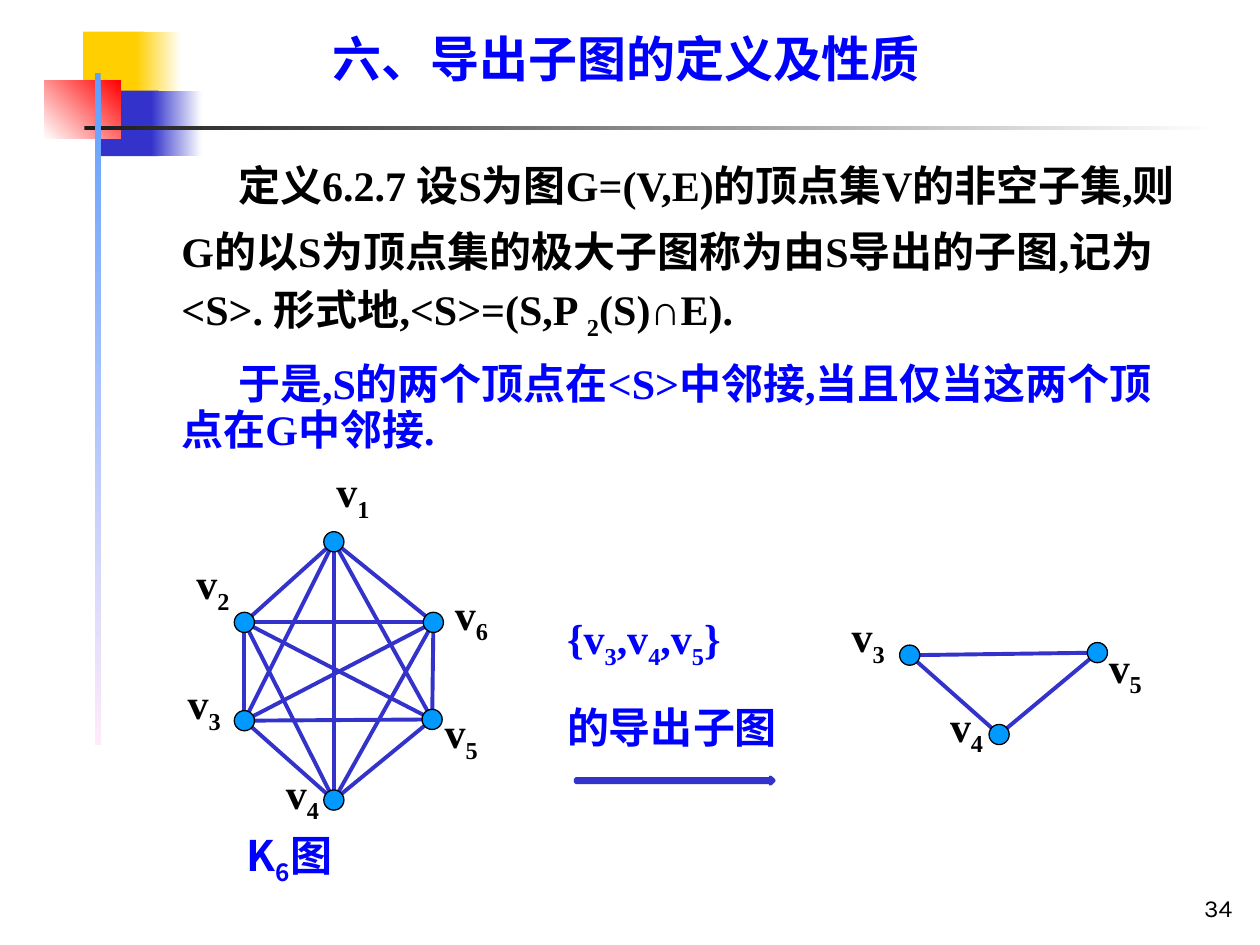
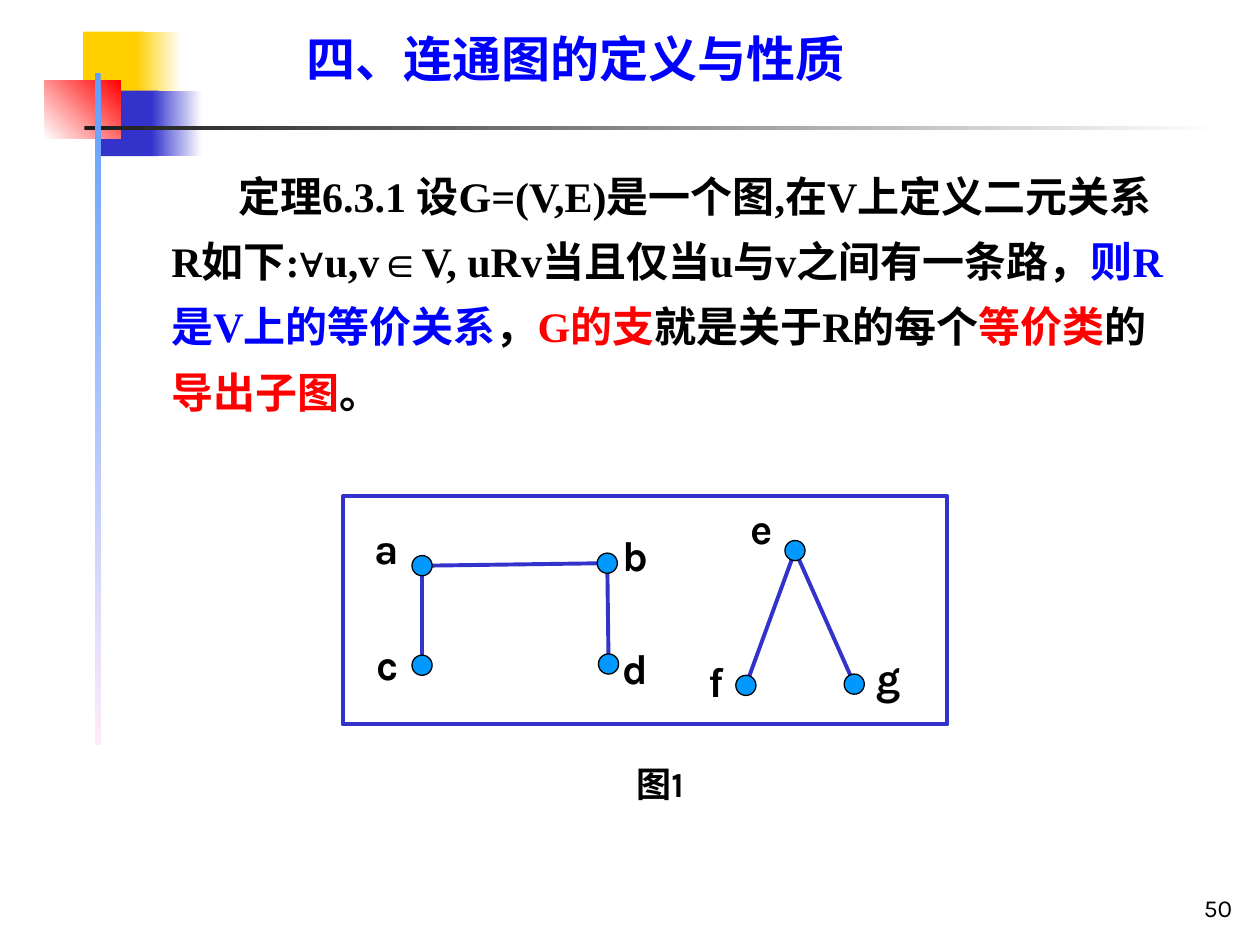
from itertools import combinations

from lxml import etree
from pptx import Presentation
from pptx.dml.color import RGBColor
from pptx.enum.shapes import MSO_CONNECTOR, MSO_SHAPE
from pptx.enum.text import MSO_ANCHOR, MSO_AUTO_SIZE, PP_ALIGN
from pptx.oxml.ns import qn
from pptx.util import Pt

# Scale: 100 px to the inch
PX = 9144

BLACK = RGBColor(0x00, 0x00, 0x00)
WHITE = RGBColor(0xFF, 0xFF, 0xFF)
BLUE = RGBColor(0x00, 0x00, 0xFF)
RED = RGBColor(0xFF, 0x00, 0x00)
INDIGO = RGBColor(0x33, 0x33, 0xCC)
YELLOW = RGBColor(0xFF, 0xCF, 0x01)
CHARCOAL = RGBColor(0x1C, 0x1C, 0x1C)
SKY = RGBColor(0x5E, 0x9E, 0xFF)
PINK = RGBColor(0xFF, 0xEB, 0xFA)
DOT_BLUE = RGBColor(0x00, 0x99, 0xFF)
MINT = RGBColor(0x00, 0xE4, 0xA8)

SERIF, SANS, SYMBOL, CJK = "Times New Roman", "Karla", "Arial", "Noto Sans CJK SC"
RECT, OVAL, ARROW = MSO_SHAPE.RECTANGLE, MSO_SHAPE.OVAL, MSO_SHAPE.RIGHT_ARROW
STRAIGHT = MSO_CONNECTOR.STRAIGHT
LEFT, RIGHT = PP_ALIGN.LEFT, PP_ALIGN.RIGHT
TOP, BOTTOM = MSO_ANCHOR.TOP, MSO_ANCHOR.BOTTOM
NO_FIT = MSO_AUTO_SIZE.NONE

DOT = 16
LINE_WIDTH = 2.25
HANG = 38
NUMBER_BOX = (790, 692, 188, 40)

# Corner ornament and rules: box, first colour, last colour, angle
ORNAMENT = [
    ((66, 25, 48, 52), YELLOW, YELLOW, 0),
    ((108, 25, 36, 52), YELLOW, WHITE, 0),
    ((80, 72, 46, 52), INDIGO, INDIGO, 0),
    ((120, 72, 40, 52), INDIGO, WHITE, 0),
    ((35, 64, 61, 46), WHITE, RED, 45),
    ((67, 100, 900, 3), CHARCOAL, WHITE, 0),
    ((75, 58, 5, 533), SKY, PINK, 270),
]


def sub(text):
    return text, {"lowered": True}


def tinted(text, color):
    return text, {"color": color}


def symbol(text):
    return text, {"font": SYMBOL}


# Content: a paragraph is a list of plain strings and (text, format) pairs
INDUCED = {
    "number": "34",
    "title": ("六、导出子图的定义及性质", (264, 28, 496, 42)),
    "body": [
        ((106, 115, 835, 163), [[
            "定义6.2.7 设S为图G=(V,E)的顶点集V的非空子集,则G的以S为顶点集的极大子图"
            "称为由S导出的子图,记为<S>. 形式地,<S>=(S,P ", sub("2"), "(S)∩E)."]],
         {"line": 37.4, "hang": HANG, "first": 45}),
        ((106, 288, 819, 72), [[
            "于是,S的两个顶点在<S>中邻接,当且仅当这两个顶点在G中邻接."]],
         {"line": 26, "hang": HANG, "first": 45, "color": BLUE}),
    ],
    "notes": [
        ((196, 662, 150, 41), [["K", sub("6"), "图"]],
         {"font": CJK, "color": BLUE, "line": 30}),
        ((450, 480, 192, 119),
         [["{v", sub("3"), ",v", sub("4"), ",v", sub("5"), "}"], ["的导出子图"]],
         {"color": BLUE, "line": 37.4, "before": 9}),
    ],
}
CONNECTED = {
    "number": "50",
    "title": ("四、连通图的定义与性质", (243, 28, 502, 42)),
    "body": [
        ((98, 123, 835, 208), [[
            "定理6.3.1 设G=(V,E)是一个图,在V上定义二元关系R如下:", symbol("∀"),
            "u,v", symbol("∈"), "V, uRv当且仅当u与v之间有一条路，",
            tinted("则R是V上的等价关系", BLUE), "，", tinted("G的支", RED),
            "就是关于R的每个", tinted("等价类", RED), "的",
            tinted("导出子图", RED), "。"]],
         {"line": 37.4, "hang": HANG, "first": 53}),
    ],
    "notes": [((505, 604, 70, 34), [["图1"]],
               {"font": SANS, "size": 20, "line": 25})],
}

# Graphs: vertex name -> (centre, label corner)
K6 = {
    "v1": ((265, 430), (267, 375)),
    "v2": ((194, 494), (156, 448)),
    "v3": ((194, 572), (149, 543)),
    "v4": ((265, 635), (227, 614)),
    "v5": ((343, 571), (353, 566)),
    "v6": ((344, 494), (361, 472)),
}
K3 = {
    "v3": ((722, 520), (676, 490)),
    "v4": ((793, 583), (754, 561)),
    "v5": ((871, 518), (880, 514)),
}
TWO_PARTS = {
    "a": ((335, 449), (297, 415)),
    "b": ((482, 447), (494, 420)),
    "c": ((335, 528), (299, 507)),
    "d": ((483, 527), (494, 510)),
    "e": ((631, 437), (596, 399)),
    "f": ((592, 544), (562, 520)),
    "g": ((678, 543), (696, 517)),
}
TWO_PARTS_EDGES = ["ab", "ac", "bd", "ef", "eg"]
FRAME_BOX = (272, 394, 480, 181)
ARROW_BOX = (457, 617, 157, 5)


def emu(lengths):
    return [length * PX for length in lengths]


def write(holder, paragraphs, *, size=24, font=SERIF, color=BLACK, bold=True,
          line=None, before=0, hang=0, first=0, align=LEFT, anchor=TOP):
    """Fill a text box or placeholder; line is an exact height in points."""
    frame = holder.text_frame
    frame.word_wrap, frame.auto_size, frame.vertical_anchor = True, NO_FIT, anchor
    frame.margin_left = frame.margin_right = 0
    frame.margin_top = frame.margin_bottom = 0
    for index, pieces in enumerate(paragraphs):
        paragraph = frame.add_paragraph() if index else frame.paragraphs[0]
        props = paragraph._p.get_or_add_pPr()
        props.set("marL", str(hang * PX))
        props.set("indent", str(first * PX))
        etree.SubElement(props, qn("a:buNone"))
        paragraph.alignment = align
        paragraph.space_before = Pt(before if index else 0)
        if line:
            paragraph.line_spacing = Pt(line)
        for piece in pieces:
            text, change = (piece, {}) if isinstance(piece, str) else piece
            run = paragraph.add_run()
            run.text = text
            run.font.size, run.font.bold = Pt(size), bold
            run.font.name = change.get("font", font)
            run.font.color.rgb = change.get("color", color)
            run_props = run._r.get_or_add_rPr()
            etree.SubElement(run_props, qn("a:ea"), typeface=CJK)
            if change.get("lowered"):
                run_props.set("baseline", "-25000")


def add_text(slide, box, paragraphs, **style):
    write(slide.shapes.add_textbox(*emu(box)), paragraphs, **style)


def place(holder, box):
    holder.left, holder.top, holder.width, holder.height = emu(box)
    return holder


def add_block(slide, kind, box, fill=None, line=None, width=LINE_WIDTH):
    shape = slide.shapes.add_shape(kind, *emu(box))
    shape.shadow.inherit = False
    if fill is None:
        shape.fill.background()
    else:
        shape.fill.solid()
        shape.fill.fore_color.rgb = fill
    if line is None:
        shape.line.fill.background()
    else:
        shape.line.color.rgb = line
        shape.line.width = Pt(width)
    return shape


def add_ornament(slide, master):
    """Draw the ornament once and move it to the master."""
    for index, (box, start, end, angle) in enumerate(ORNAMENT):
        block = add_block(slide, RECT, box, start)
        if start != end:
            block.fill.gradient()
            block.fill.gradient_angle = angle
            for stop, color in zip(block.fill.gradient_stops, (start, end)):
                stop.color.rgb = color
        block.element.nvSpPr.cNvPr.set("id", str(100 + index))
        master.shapes.element.append(block.element)


def add_graph(slide, vertices, edges, **label_style):
    for start, end in edges:
        ends = vertices[start][0] + vertices[end][0]
        edge = slide.shapes.add_connector(STRAIGHT, *emu(ends))
        edge.line.color.rgb = INDIGO
        edge.line.width = Pt(LINE_WIDTH)
        etree.SubElement(edge.element.spPr, qn("a:effectLst"))
    for name, ((x, y), corner) in vertices.items():
        dot_box = (x - DOT // 2, y - DOT // 2, DOT, DOT)
        add_block(slide, OVAL, dot_box, DOT_BLUE, BLACK, 0.75)
        label = [name[0], sub(name[1:])] if name[1:] else [name]
        add_text(slide, (*corner, 50, 46), [label], **label_style)


def add_page(prs, content):
    """Title, body text, notes and page number of one slide."""
    slide = prs.slides.add_slide(prs.slide_layouts[1])
    title, title_box = content["title"]
    write(place(slide.shapes.title, title_box), [[title]],
          size=28, color=BLUE, line=30)
    (box, paragraphs, style), *more = content["body"]
    write(place(slide.placeholders[1], box), paragraphs, **style)
    for box, paragraphs, style in more + content["notes"]:
        add_text(slide, box, paragraphs, **style)
    add_text(slide, NUMBER_BOX, [[content["number"]]], size=14, font=SANS,
             bold=False, align=RIGHT, anchor=BOTTOM)
    return slide


def main():
    prs = Presentation()
    prs.slide_width, prs.slide_height = emu((1000, 750))

    # Induced subgraph
    induced = add_page(prs, INDUCED)
    add_ornament(induced, prs.slide_master)
    for vertices in (K6, K3):
        add_graph(induced, vertices, combinations(vertices, 2), line=29)
    arrow = add_block(induced, ARROW, ARROW_BOX, MINT, INDIGO)
    arrow.adjustments[0], arrow.adjustments[1] = 0.5, 0.51

    # Connected graph
    connected = add_page(prs, CONNECTED)
    add_block(connected, RECT, FRAME_BOX, line=INDIGO)
    add_graph(connected, TWO_PARTS, TWO_PARTS_EDGES, font=SANS)

    prs.save("out.pptx")


if __name__ == "__main__":
    main()
